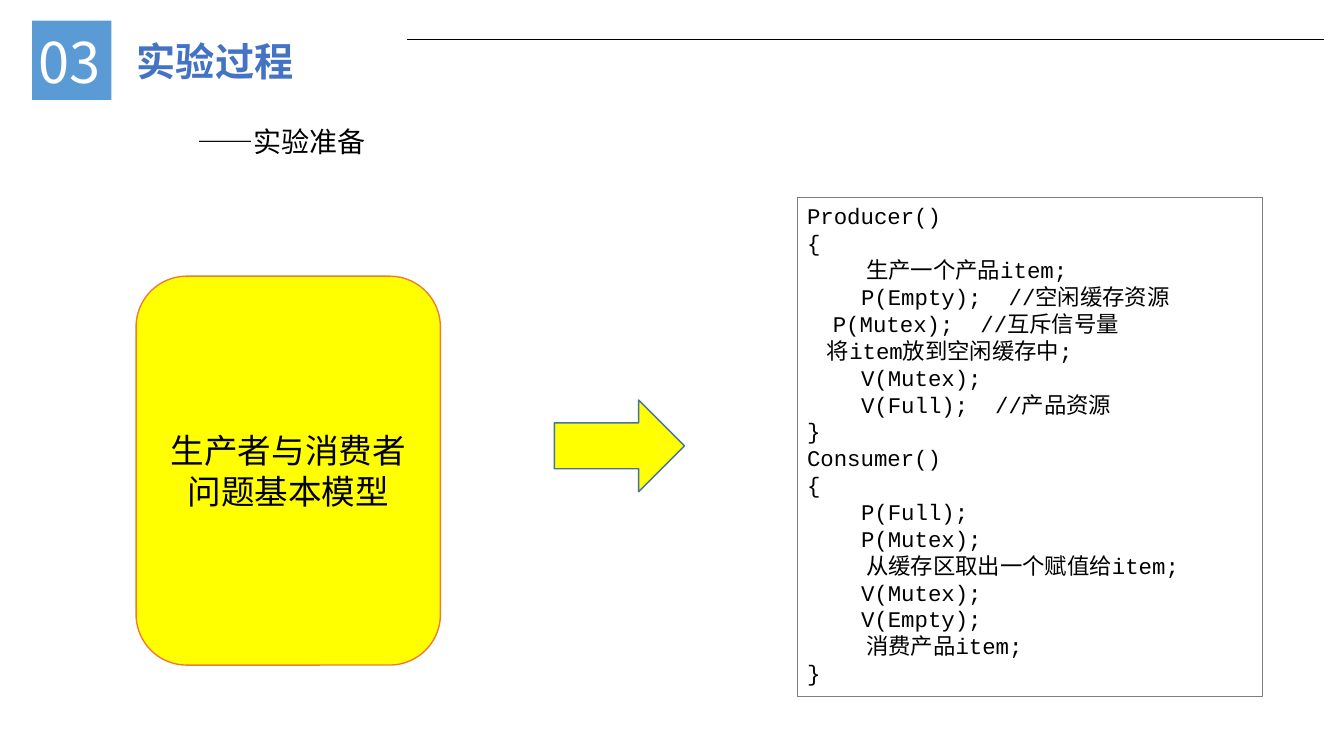
import pptx
import pptx.util
import pptx.dml.color
import pptx.enum.shapes
import pptx.enum.text
import pptx.oxml
import pptx.oxml.ns
from dataclasses import dataclass
from lxml import etree

Cm = pptx.util.Cm
Pt = pptx.util.Pt
MSO_SHAPE = pptx.enum.shapes.MSO_SHAPE
ALIGN = pptx.enum.text.PP_ALIGN
ANCHOR = pptx.enum.text.MSO_ANCHOR
qn = pptx.oxml.ns.qn


@dataclass(frozen=True)
class Theme:
    black: str = "000000"
    white: str = "FFFFFF"
    badge_blue: str = "5B9BD5"
    title_blue: str = "4472C4"
    arrow_edge: str = "43739E"
    yellow: str = "FFFF00"
    orange: str = "ED7D31"
    grey: str = "7F7F7F"
    sans: str = "Noto Sans CJK SC"
    mono: str = "Courier New"
    number_size: int = 40
    title_size: int = 28
    subtitle_size: int = 20
    model_size: int = 24
    code_size: int = 16


theme = Theme()


def add_box(place, preset=None, fill=None, edge=None, edge_width=1):
    """Add a preset shape, or a text box when no preset is given."""
    lengths = [Cm(value) for value in place]
    if preset is None:
        return slide.shapes.add_textbox(*lengths)
    shape = slide.shapes.add_shape(preset, *lengths)
    shape.shadow.inherit = False
    if fill:
        shape.fill.solid()
        shape.fill.fore_color.rgb = pptx.dml.color.RGBColor.from_string(fill)
    else:
        shape.fill.background()
    if edge:
        shape.line.color.rgb = pptx.dml.color.RGBColor.from_string(edge)
        shape.line.width = Pt(edge_width)
    else:
        shape.line.fill.background()
    return shape


def write(shape, lines, size, color=theme.black, font=theme.sans,
          align=ALIGN.LEFT, anchor=ANCHOR.MIDDLE, bold=False):
    frame = shape.text_frame
    frame.word_wrap = True
    frame.vertical_anchor = anchor
    frame.text = "\n".join(lines)
    for paragraph in frame.paragraphs:
        paragraph.alignment = align
        run = paragraph.runs[0]
        run_format = {"size": Pt(size), "name": font, "bold": bold}
        for name, value in run_format.items():
            setattr(run.font, name, value)
        run.font.color.rgb = pptx.dml.color.RGBColor.from_string(color)
        east_asian = etree.SubElement(run.font._element, qn("a:ea"))
        east_asian.set("typeface", theme.sans)


presentation = pptx.Presentation()
presentation.slide_width = Cm(33.87)
presentation.slide_height = Cm(19.05)
slide = presentation.slides.add_slide(presentation.slide_layouts[6])

# Header
rule = slide.shapes.add_connector(
    pptx.enum.shapes.MSO_CONNECTOR.STRAIGHT, Cm(10.26), Cm(1), Cm(33.37), Cm(1))
rule.line.color.rgb = pptx.dml.color.RGBColor.from_string(theme.black)
rule.line.width = Pt(0.5)
etree.SubElement(rule._element.spPr, qn("a:effectLst"))

title = add_box((3.2, 0.82, 5.33, 1.45))
write(title, ["实验过程"], theme.title_size, theme.title_blue, bold=True)

add_box((0.81, 0.52, 2, 2), MSO_SHAPE.RECTANGLE, theme.badge_blue)
number = add_box((0.64, 0.56, 2.21, 1.96))
write(number, ["03"], theme.number_size, theme.white, align=ALIGN.CENTER)

subtitle = add_box((3.63, 3.02, 5.84, 1.12))
write(subtitle, ["——实验准备"], theme.subtitle_size,
      align=ALIGN.RIGHT, anchor=ANCHOR.TOP)

# Code: text, indent in cm, trailing remark and its position in cm
code_lines = [
    ("Producer()",),
    ("{",),
    ("生产一个产品item;", 1.49),
    ("P(Empty);", 1.36, "//空闲缓存资源", 5.08),
    ("P(Mutex);", 0.65, "//互斥信号量", 4.37),
    ("将item放到空闲缓存中;", 0.5),
    ("V(Mutex);", 1.36),
    ("V(Full);", 1.36, "//产品资源", 4.74),
    ("}",),
    ("Consumer()",),
    ("{",),
    ("P(Full);", 1.36),
    ("P(Mutex);", 1.36),
    ("从缓存区取出一个赋值给item;", 1.49),
    ("V(Mutex);", 1.36),
    ("V(Empty);", 1.36),
    ("消费产品item;", 1.49),
    ("}",),
]
code = add_box((20.09, 4.98, 11.73, 12.57), MSO_SHAPE.RECTANGLE,
               edge=theme.grey, edge_width=0.75)
write(code, [("\t" if len(line) > 1 else "") + "\t".join(line[::2])
             for line in code_lines],
      theme.code_size, font=theme.mono, anchor=ANCHOR.TOP)
for paragraph, line in zip(code.text_frame.paragraphs, code_lines):
    if len(line) > 1:
        properties = paragraph._p.get_or_add_pPr()
        tab_list = etree.SubElement(properties, qn("a:tabLst"))
        for position in line[1::2]:
            tab = etree.SubElement(tab_list, qn("a:tab"))
            tab.set("pos", str(int(Cm(position))))
            tab.set("algn", "l")

# Model and arrow
model = add_box((3.43, 6.96, 7.67, 9.8), MSO_SHAPE.ROUNDED_RECTANGLE,
                theme.yellow, theme.orange)
write(model, ["生产者与消费者问题基本模型"], theme.model_size, align=ALIGN.CENTER)
add_box((13.97, 10.08, 3.28, 2.31), MSO_SHAPE.RIGHT_ARROW,
        theme.yellow, theme.arrow_edge)

presentation.save("out.pptx")
